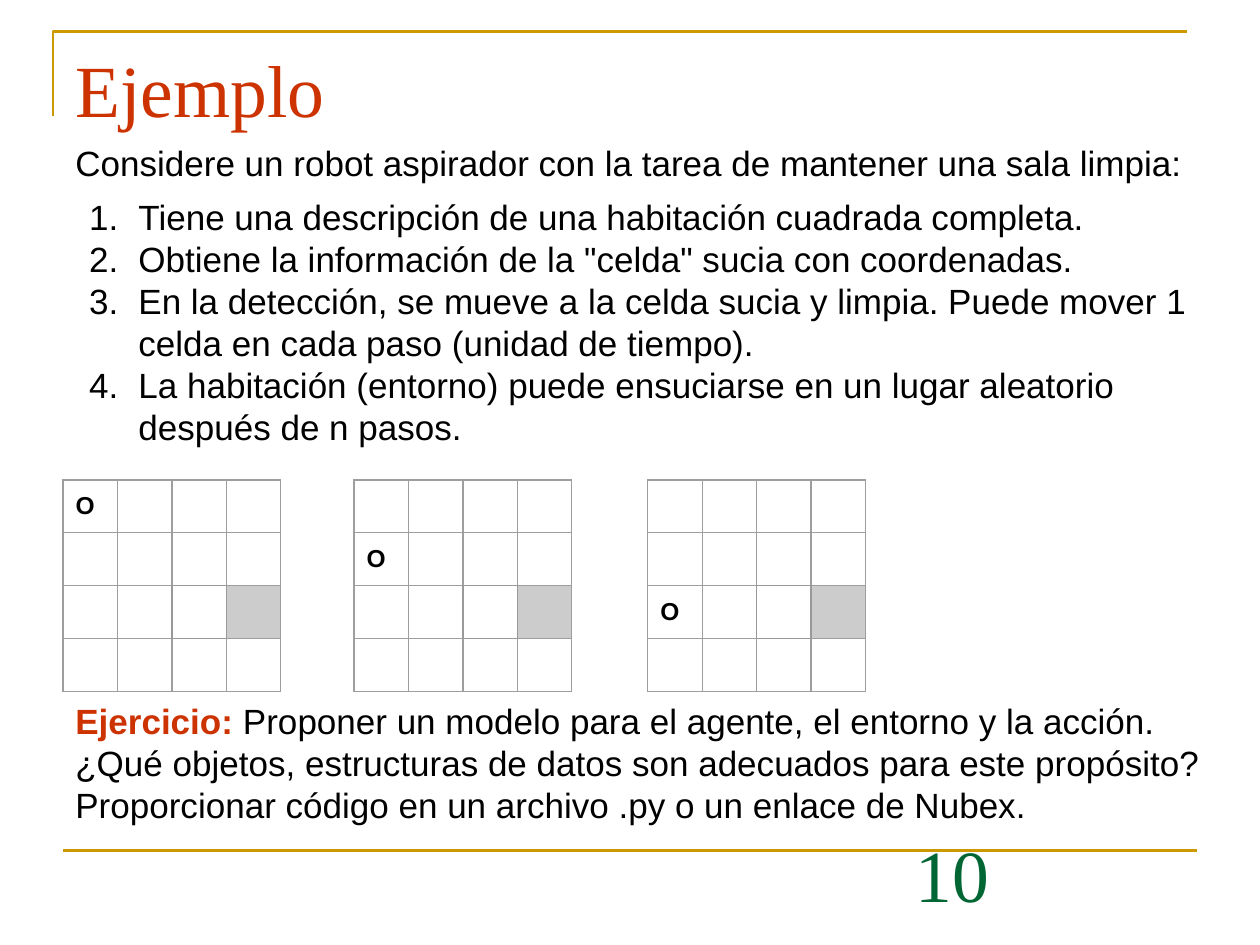
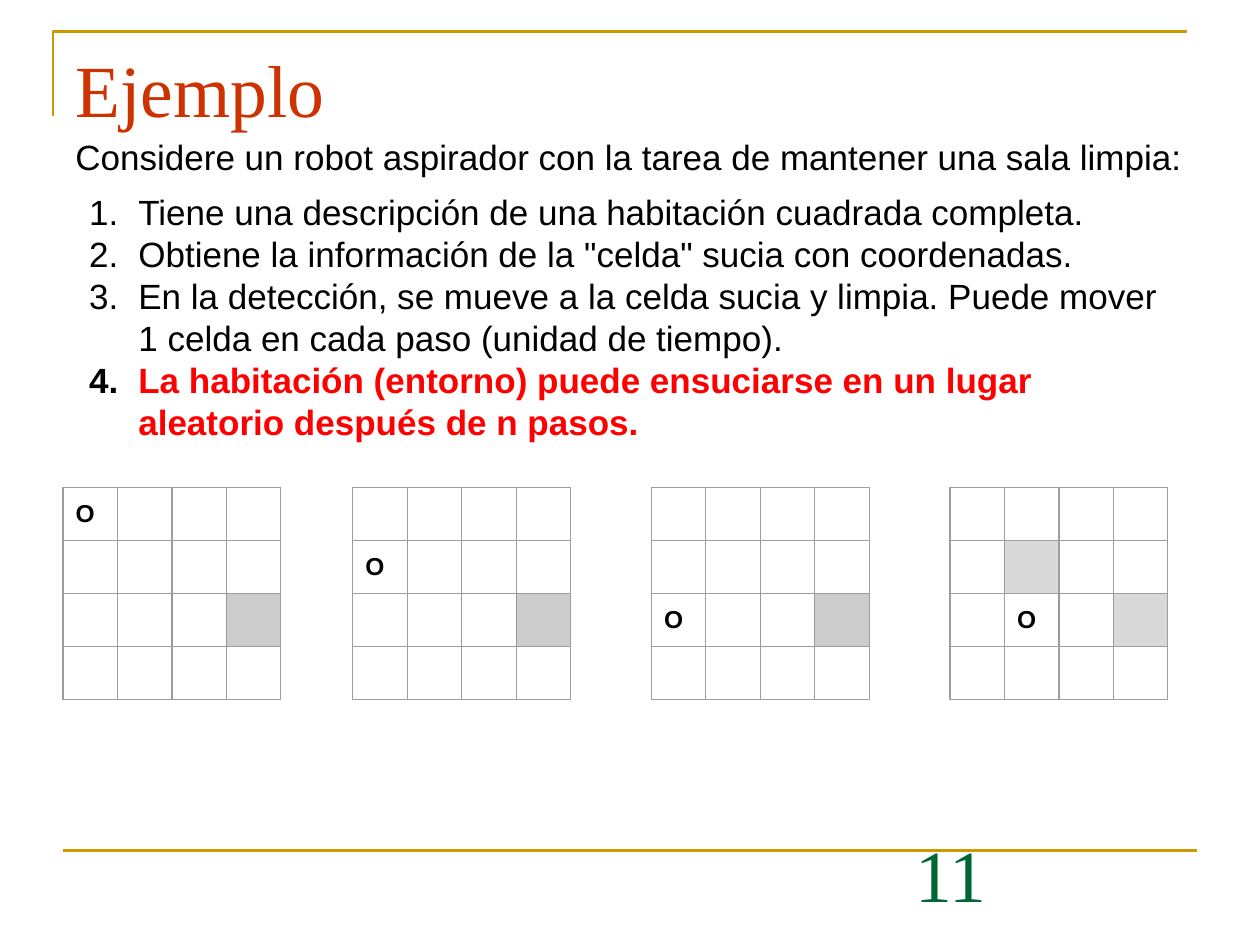
from dataclasses import dataclass

from lxml import etree
from pptx import Presentation
from pptx import util as u
from pptx.dml.color import RGBColor
from pptx.enum import shapes, text
from pptx.oxml import ns

In = u.Inches


@dataclass(frozen=True)
class Theme:
    """Colours, fonts and type sizes of the deck."""
    gold: str = "CC9900"
    green: str = "006633"
    rust: str = "CC3300"
    red: str = "FF0000"
    ink: str = "000000"
    white: str = "FFFFFF"
    dirt: str = "CCCCCC"
    pale: str = "D9D9D9"
    edge: str = "9E9E9E"
    core: str = "999999"
    serif: str = "Times New Roman"
    sans: str = "Arial"
    big: int = 42
    body: int = 20
    mark: int = 14


T = Theme()
INTRO = "Considere un robot aspirador con la tarea de mantener una sala limpia:"
STEPS = (
    "Tiene una descripción de una habitación cuadrada completa.",
    'Obtiene la información de la "celda" sucia con coordenadas.',
    "En la detección, se mueve a la celda sucia y limpia. "
    "Puede mover 1 celda en cada paso (unidad de tiempo).",
    "La habitación (entorno) puede ensuciarse en un lugar aleatorio después de n pasos.",
)
TASK = (
    "Proponer un modelo para el agente, el entorno y la acción. "
    "¿Qué objetos, estructuras de datos son adecuados para este propósito? "
    "Proporcionar código en un archivo .py o un enlace de Nubex."
)
SIDES = {"L": (0, -1), "R": (0, 1), "T": (-1, 0), "B": (1, 0)}
HUB = (2, 2)
GOAL = (2, 3)


def rgb(hue):
    """Turn a hex string into a colour."""
    return RGBColor.from_string(hue)


def node(parent, tag, **attrs):
    """Append a drawing element to a parent."""
    return etree.SubElement(parent, ns.qn(tag), attrs)


def write(para, words, size=T.body, font=T.sans, hue=T.ink, bold=False):
    """Add one formatted run to a paragraph."""
    run = para.add_run()
    run.text = words
    run.font.size, run.font.name, run.font.bold = u.Pt(size), font, bold
    run.font.color.rgb = rgb(hue)


def frame(slide, box, pad=0.05, anchor=text.MSO_ANCHOR.TOP):
    """Add a wrapping text box and return its text frame."""
    tf = slide.shapes.add_textbox(*map(In, box)).text_frame
    tf.word_wrap = True
    tf.auto_size = text.MSO_AUTO_SIZE.NONE
    tf.vertical_anchor = anchor
    tf.margin_top = tf.margin_bottom = In(pad)
    return tf


def number(para):
    """Give a paragraph a hanging black number."""
    props = para._p.get_or_add_pPr()
    props.set("marL", str(In(0.5)))
    props.set("indent", str(In(-0.39)))
    node(node(props, "a:buClr"), "a:srgbClr", val=T.ink)
    node(props, "a:buFont", typeface=T.sans)
    node(props, "a:buAutoNum", type="arabicPeriod")


def base(deck, page):
    """Add a slide with its corner rule, foot rule, title and page number."""
    slide = deck.slides.add_slide(deck.slide_layouts[6])
    pen = slide.shapes.build_freeform(In(0.42), In(0.92))
    pen.add_line_segments([(In(0.42), In(0.25)), (In(9.42), In(0.25))], close=False)
    bend = pen.convert_to_shape()
    bend.shadow.inherit = False
    bend.fill.background()
    foot = slide.shapes.add_connector(
        shapes.MSO_CONNECTOR.STRAIGHT, In(0.5), In(6.75), In(9.5), In(6.75))
    node(foot._element.spPr, "a:effectLst")
    for rule in (bend, foot):
        rule.line.color.rgb = rgb(T.gold)
        rule.line.width = u.Pt(1.5)
    num = frame(slide, (7.17, 6.83, 2.33, 0.5), anchor=text.MSO_ANCHOR.BOTTOM)
    write(num.paragraphs[0], str(page), size=T.big, font=T.serif, hue=T.green)
    head = frame(slide, (0.5, 0.3, 9, 1.25))
    write(head.paragraphs[0], "Ejemplo", size=T.big, font=T.serif, hue=T.rust)
    return slide


def steps(slide, box, alert=False):
    """Write the intro and numbered steps, the last one in red on alert."""
    tf = frame(slide, box)
    intro = tf.paragraphs[0]
    intro.space_before = u.Pt(7)
    write(intro, INTRO)
    for i, step in enumerate(STEPS):
        para = tf.add_paragraph()
        para.space_before = u.Pt(0 if i else 7)
        number(para)
        hot = alert and step == STEPS[-1]
        write(para, step, hue=T.red if hot else T.ink, bold=hot)


def edges(cell, spot):
    """Draw a cell's borders, darker around the hub cell."""
    props = cell._tc.get_or_add_tcPr()
    for i, (side, (dy, dx)) in enumerate(SIDES.items()):
        near = HUB in (spot, (spot[0] + dy, spot[1] + dx))
        line = etree.Element(ns.qn(f"a:ln{side}"), w=str(u.Pt(0.75)))
        node(node(line, "a:solidFill"), "a:srgbClr", val=T.core if near else T.edge)
        props.insert(i, line)


def room(slide, left, top, robot, dirty=(GOAL,), hue=T.dirt):
    """Draw a four by four room with the robot and its dirty cells."""
    side, tall = In(1.73), In(0.42)
    grid = slide.shapes.add_table(4, 4, In(left), In(top), side, tall * 4).table
    grid.first_row = grid.horz_banding = False
    for col in grid.columns:
        col.width = side // 4
    for y, row in enumerate(grid.rows):
        row.height = tall
        for x, cell in enumerate(row.cells):
            spot = (y, x)
            cell.fill.solid()
            cell.fill.fore_color.rgb = rgb(hue if spot in dirty else T.white)
            edges(cell, spot)
            if spot == robot:
                cell.margin_top = cell.margin_bottom = In(0.1)
                write(cell.text_frame.paragraphs[0], "O", size=T.mark, bold=True)


def rooms(slide, top, lefts):
    """Draw the robot moving down the first column, room by room."""
    for y, left in enumerate(lefts):
        room(slide, left, top, (y, 0))


def task(slide, box):
    """Write the exercise."""
    para = frame(slide, box, pad=0.1).paragraphs[0]
    para.space_before = u.Pt(7)
    write(para, "Ejercicio: ", hue=T.rust, bold=True)
    write(para, TASK)


def main():
    """Build and save the deck."""
    deck = Presentation()
    deck.slide_width, deck.slide_height = In(10), In(7.5)

    slide = base(deck, 10)
    steps(slide, (0.5, 1.07, 9.29, 5.92))
    rooms(slide, 3.81, (0.5, 2.81, 5.14))
    task(slide, (0.5, 5.45, 9.5, 1.31))

    slide = base(deck, 11)
    steps(slide, (0.5, 1.03, 9, 5.68), alert=True)
    rooms(slide, 3.87, (0.5, 2.8, 5.17))
    room(slide, 7.54, 3.87, (2, 1), dirty=((1, 1), GOAL), hue=T.pale)

    deck.save("out.pptx")


if __name__ == "__main__":
    main()
